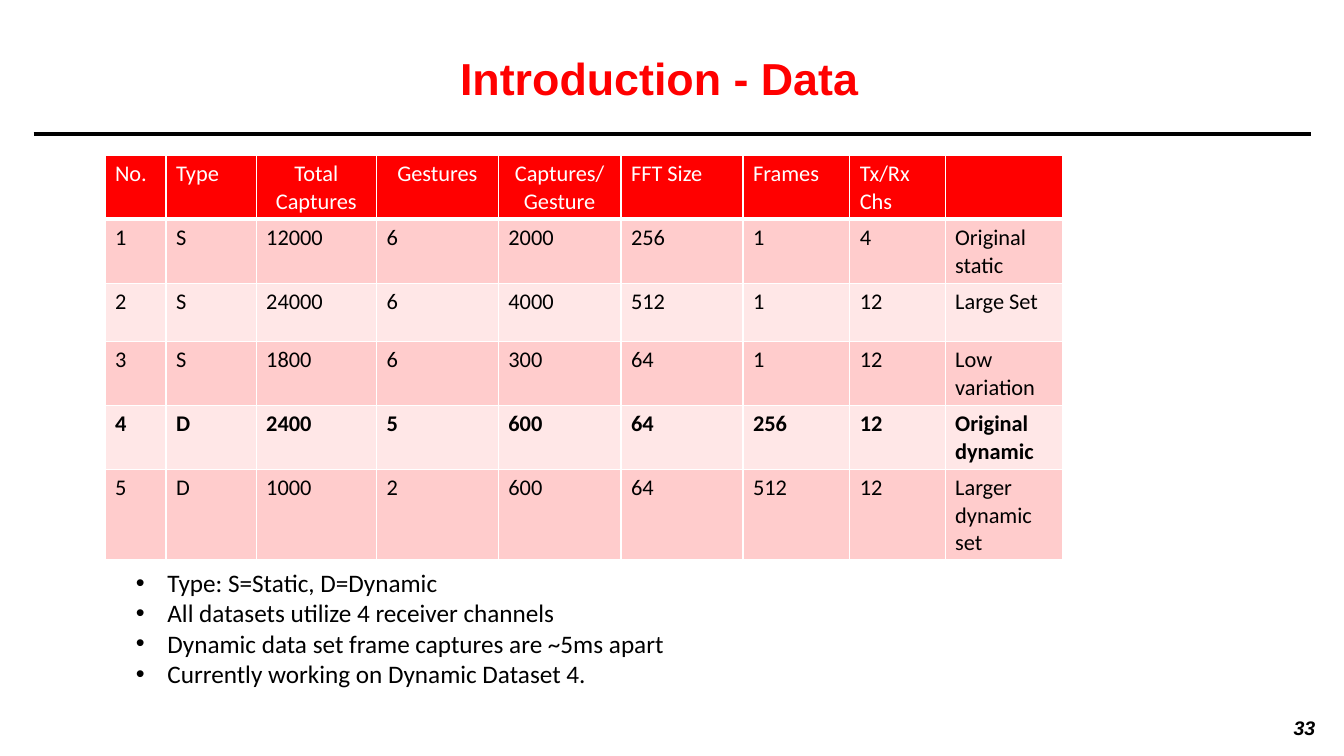
"""Build the Introduction - Data slide with its dataset table and notes."""
from lxml.etree import SubElement
from pptx import Presentation
from pptx.dml.color import RGBColor
from pptx.enum.shapes import MSO_CONNECTOR
from pptx.enum.text import MSO_ANCHOR, PP_ALIGN
from pptx.oxml.ns import qn
from pptx.util import Pt

TITLE = "Introduction - Data"
PAGE = "33"
HEADER = ["No.", "Type", "Total Captures", "Gestures", "Captures/Gesture",
          "FFT Size", "Frames", "Tx/Rx Chs", ""]
DATASETS = [
    ["1", "S", "12000", "6", "2000", "256", "1", "4", "Original static"],
    ["2", "S", "24000", "6", "4000", "512", "1", "12", "Large Set"],
    ["3", "S", "1800", "6", "300", "64", "1", "12", "Low variation"],
    ["4", "D", "2400", "5", "600", "64", "256", "12", "Original dynamic"],
    ["5", "D", "1000", "2", "600", "64", "512", "12", "Larger dynamic set"],
]
NOTES = [
    "Type: S=Static, D=Dynamic",
    "All datasets utilize 4 receiver channels",
    "Dynamic data set frame captures are ~5ms apart",
    "Currently working on Dynamic Dataset 4.",
]
COL_WIDTHS = [43.6, 64.4, 86, 87, 87.6, 87.2, 76.2, 68.2, 84]
ROW_HEIGHT = 41.8
CENTERED_COLS = (2, 3, 4)
CURRENT_ROW = 4
RED, BLACK, WHITE = "FF0000", "000000", "FFFFFF"
BANDS = ["FFE7E7", "FFCCCC"]


def rgb(value):
    return RGBColor.from_string(value)


def set_font(p, name, size, color, bold=False, italic=False):
    f = p.font
    f.name, f.size, f.bold, f.italic = name, Pt(size), bold, italic
    f.color.rgb = rgb(color)


def add_box(slide, left, top, width, height):
    tf = slide.shapes.add_textbox(Pt(left), Pt(top), Pt(width), Pt(height)).text_frame
    tf.word_wrap = True
    return tf


def add_borders(cell, bottom):
    tc_pr = cell._tc.get_or_add_tcPr()
    for side, width in zip("LRTB", (1, 1, 1, bottom)):
        ln = SubElement(tc_pr, qn(f"a:ln{side}"), w=str(Pt(width)))
        SubElement(SubElement(ln, qn("a:solidFill")), qn("a:srgbClr"), val=WHITE)


def add_title(slide):
    sp = slide.shapes.title
    sp.left, sp.top, sp.width, sp.height = Pt(57), Pt(22.4), Pt(828), Pt(71.2)
    tf = sp.text_frame
    tf.text = TITLE
    tf.vertical_anchor = MSO_ANCHOR.MIDDLE
    p = tf.paragraphs[0]
    p.alignment, p.line_spacing = PP_ALIGN.CENTER, 0.9
    set_font(p, "Arial", 32, RED, bold=True)


def add_rule(slide):
    line = slide.shapes.add_connector(
        MSO_CONNECTOR.STRAIGHT, Pt(24), Pt(96), Pt(936.5), Pt(96))
    line.line.color.rgb = rgb(BLACK)
    line.line.width = Pt(3)
    SubElement(line._element.spPr, qn("a:effectLst"))


def add_dataset_table(slide):
    rows = [HEADER] + DATASETS
    table = slide.shapes.add_table(
        len(rows), len(HEADER), Pt(75), Pt(111),
        Pt(sum(COL_WIDTHS)), Pt(ROW_HEIGHT * len(rows))).table
    table.first_row = table.horz_banding = False
    for col, width in zip(table.columns, COL_WIDTHS):
        col.width = Pt(width)
    for r, row in enumerate(rows):
        table.rows[r].height = Pt(ROW_HEIGHT)
        header = r == 0
        for c, text in enumerate(row):
            cell = table.cell(r, c)
            cell.text = text
            add_borders(cell, 3 if header else 1)
            cell.fill.solid()
            cell.fill.fore_color.rgb = rgb(RED if header else BANDS[r % 2])
            p = cell.text_frame.paragraphs[0]
            if header and c in CENTERED_COLS:
                p.alignment = PP_ALIGN.CENTER
            set_font(p, "Calibri", 16, WHITE if header else BLACK, bold=r == CURRENT_ROW)


def add_notes(slide):
    tf = add_box(slide, 90, 401.8, 707, 116.6)
    for i, text in enumerate(NOTES):
        p = tf.add_paragraph() if i else tf.paragraphs[0]
        p.text = text
        p_pr = p._p.get_or_add_pPr()
        p_pr.set("marL", str(Pt(22.5)))
        p_pr.set("indent", str(-Pt(22.5)))
        SubElement(p_pr, qn("a:buFont"), typeface="Arial")
        SubElement(p_pr, qn("a:buChar"), char="•")
        set_font(p, "Calibri", 18, BLACK)


def add_page_number(slide):
    tf = add_box(slide, 879, 507.6, 67.7, 26)
    tf.vertical_anchor = MSO_ANCHOR.MIDDLE
    p = tf.paragraphs[0]
    p.text = PAGE
    p.alignment, p.line_spacing = PP_ALIGN.RIGHT, 0.93
    set_font(p, "Arial", 14, BLACK, bold=True, italic=True)


def main():
    prs = Presentation()
    prs.slide_width, prs.slide_height = Pt(960), Pt(540)
    slide = prs.slides.add_slide(prs.slide_layouts[5])
    add_rule(slide)
    add_page_number(slide)
    add_dataset_table(slide)
    add_notes(slide)
    add_title(slide)
    prs.save("out.pptx")


if __name__ == "__main__":
    main()
